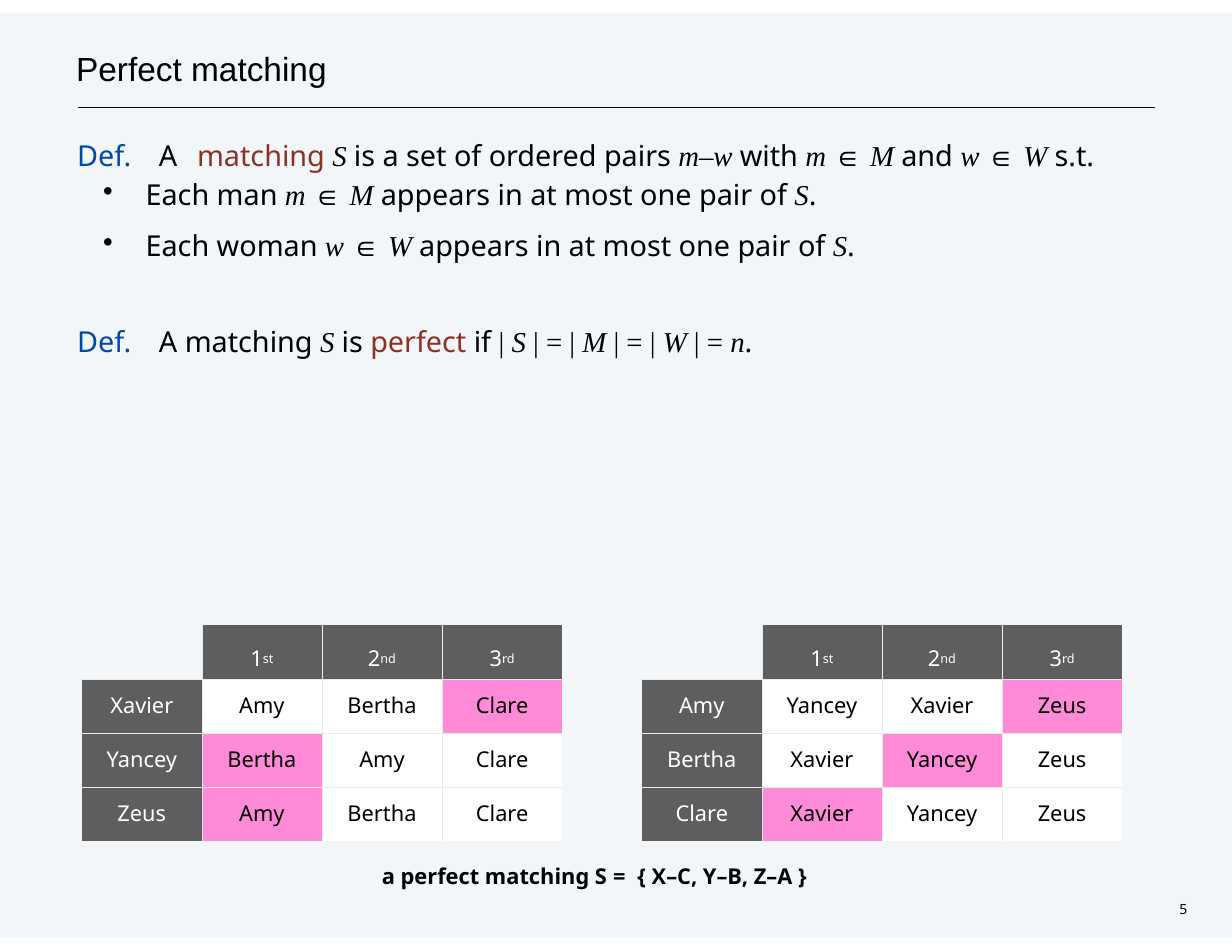
from dataclasses import dataclass

from lxml import etree
from pptx import Presentation
from pptx.dml.color import RGBColor
from pptx.enum.shapes import MSO_CONNECTOR, MSO_SHAPE
from pptx.enum.text import MSO_ANCHOR, PP_ALIGN
from pptx.oxml.ns import qn
from pptx.util import Inches, Pt

STRAIGHT = MSO_CONNECTOR.STRAIGHT
RECTANGLE = MSO_SHAPE.RECTANGLE
TOP = MSO_ANCHOR.TOP
LEFT, CENTER = PP_ALIGN.LEFT, PP_ALIGN.CENTER
NO_TABLE_STYLE = "{2D5ABB26-0587-4C30-8999-92F81FD0307C}"


@dataclass(frozen=True)
class Theme:
    black: str = "000000"
    white: str = "FFFFFF"
    band: str = "005493"
    label: str = "0048AA"
    term: str = "8D3124"
    header: str = "5E5E5E"
    match: str = "FF8AD8"
    grid: str = "E7EAEB"
    sans: str = "Noto Sans"
    serif: str = "Times New Roman"
    title_font: str = "Arial"
    title_size: float = 21.5
    body_size: float = 18.5
    table_size: float = 14
    number_size: float = 9


THEME = Theme()
RUN_STYLES = {
    "text": (THEME.sans, THEME.black, False),
    "label": (THEME.sans, THEME.label, False),
    "term": (THEME.sans, THEME.term, False),
    "variable": (THEME.serif, THEME.black, True),
    "math": (THEME.serif, THEME.black, False),
    "symbol": (THEME.title_font, THEME.black, False),
}


def member(name, group):
    return [("variable", f"{name} "), ("symbol", "∈ "), ("variable", f"{group} ")]


def at_most_one(person, name, group):
    return [("text", f"Each {person} "), *member(name, group),
            ("text", "appears in at most one pair of "),
            ("variable", "S"), ("text", ".")]


MATCHING = [
    ("label", "Def.\t"), ("text", "A\t"), ("term", "matching "), ("variable", "S "),
    ("text", "is a set of ordered pairs "), ("variable", "m"), ("math", "–"),
    ("variable", "w "), ("text", "with "), *member("m", "M"), ("text", "and "),
    *member("w", "W"), ("text", "s.t."),
]
PERFECT = [
    ("label", "Def.\t"), ("text", "A matching "), ("variable", "S "), ("text", "is "),
    ("term", "perfect "), ("text", "if "), ("math", "| "), ("variable", "S "),
    ("math", "| = | "), ("variable", "M "), ("math", "| = | "), ("variable", "W "),
    ("math", "| = "), ("variable", "n"), ("text", "."),
]
RANKS = [("1", "st"), ("2", "nd"), ("3", "rd")]
MEN = {
    "Xavier": ["Amy", "Bertha", "Clare"],
    "Yancey": ["Bertha", "Amy", "Clare"],
    "Zeus": ["Amy", "Bertha", "Clare"],
}
WOMEN = {
    "Amy": ["Yancey", "Xavier", "Zeus"],
    "Bertha": ["Xavier", "Yancey", "Zeus"],
    "Clare": ["Xavier", "Yancey", "Zeus"],
}
COUPLES = {"Xavier": "Clare", "Yancey": "Bertha", "Zeus": "Amy"}
PARTNERS = {woman: man for man, woman in COUPLES.items()}


def add_run(paragraph, text, size, font=THEME.sans, color=THEME.black,
            bold=False, italic=False):
    run = paragraph.add_run()
    run.text = text
    run.font.name = font
    run.font.size = Pt(size)
    run.font.bold = bold
    run.font.italic = italic
    run.font.color.rgb = RGBColor.from_string(color)
    return run


def set_frame(text_frame, top):
    text_frame.word_wrap = True
    text_frame.vertical_anchor = TOP
    text_frame.margin_left = text_frame.margin_right = text_frame.margin_bottom = 0
    text_frame.margin_top = Inches(top)


def add_text_box(slide, left, top, width, height):
    shape = slide.shapes.add_textbox(Inches(left), Inches(top),
                                     Inches(width), Inches(height))
    set_frame(shape.text_frame, 0.01)
    return shape.text_frame


def add_band(slide):
    shape = slide.shapes.add_shape(RECTANGLE, 0, Inches(0.12), Inches(11), Inches(8.25))
    shape.shadow.inherit = False
    shape.line.fill.background()
    shape.fill.solid()
    shape.fill.fore_color.rgb = RGBColor.from_string(THEME.band)
    color = shape._element.spPr.find(f"{qn('a:solidFill')}/{qn('a:srgbClr')}")
    etree.SubElement(color, qn("a:alpha"), val="5000")
    slide.shapes._spTree.insert(2, shape._element)


def add_rule(slide):
    rule = slide.shapes.add_connector(STRAIGHT, Inches(0.7), Inches(0.96),
                                      Inches(10.31), Inches(0.96))
    rule.line.width = Pt(0.77)
    rule.line.color.rgb = RGBColor.from_string(THEME.black)
    etree.SubElement(rule._element.spPr, qn("a:effectLst"))


def set_title(slide, text):
    title = slide.shapes.title
    title.left, title.top = Inches(0.67), Inches(0.41)
    title.width, title.height = Inches(6.18), Inches(0.39)
    set_frame(title.text_frame, 0.02)
    paragraph = title.text_frame.paragraphs[0]
    paragraph.alignment = LEFT
    paragraph.space_before = Pt(1.1)
    add_run(paragraph, text, THEME.title_size, THEME.title_font)
    paragraph._p.get_or_add_pPr().set("marL", str(Inches(0.01)))


def add_statement(paragraph, runs, space_before, bullet=False):
    paragraph.line_spacing = Pt(20.3)
    paragraph.space_before = Pt(space_before)
    properties = paragraph._p.get_or_add_pPr()
    properties.set("marL", str(Inches(0.67 if bullet else 0.06)))
    if bullet:
        properties.set("indent", str(Inches(-0.38)))
        etree.SubElement(properties, qn("a:buChar"), char="•")
    else:
        tabs = etree.SubElement(properties, qn("a:tabLst"))
        for position in (0.73, 1.07):
            etree.SubElement(tabs, qn("a:tab"), pos=str(Inches(position)), algn="l")
    for style, text in runs:
        font, color, italic = RUN_STYLES[style]
        add_run(paragraph, text, THEME.body_size, font, color, italic=italic)


def add_definitions(slide):
    text_frame = add_text_box(slide, 0.63, 1.25, 9.33, 1.97)
    add_statement(text_frame.paragraphs[0], MATCHING, 1.1)
    add_statement(text_frame.add_paragraph(), at_most_one("man", "m", "M"), 4.7, True)
    add_statement(text_frame.add_paragraph(), at_most_one("woman", "w", "W"), 12.5, True)
    add_statement(text_frame.add_paragraph(), PERFECT, 41.4)


def add_border(cell, side):
    properties = cell._tc.get_or_add_tcPr()
    line = etree.Element(qn(f"a:{side}"), w=str(Pt(0.25)))
    fill = etree.SubElement(line, qn("a:solidFill"))
    etree.SubElement(fill, qn("a:srgbClr"), val=THEME.grid)
    fills = properties.findall(qn("a:solidFill")) + properties.findall(qn("a:noFill"))
    fills[0].addprevious(line)


def fill_cell(cell, text, fill, color, top=0.1, suffix=""):
    set_frame(cell, top)
    cell.fill.solid()
    cell.fill.fore_color.rgb = RGBColor.from_string(fill)
    paragraph = cell.text_frame.paragraphs[0]
    paragraph.alignment = CENTER
    add_run(paragraph, text, THEME.table_size, color=color)
    if suffix:
        run = add_run(paragraph, suffix, THEME.table_size, color=color)
        run.font._element.set("baseline", "14000")


def add_preferences(slide, left, preferences, partners):
    frame = slide.shapes.add_table(4, 4, Inches(left), Inches(5.58),
                                   Inches(4.29), Inches(1.93))
    table = frame.table
    table.first_row = table.horz_banding = False
    table._tbl.tblPr.find(qn("a:tableStyleId")).text = NO_TABLE_STYLE
    table.cell(0, 0).fill.background()
    for column, (rank, suffix) in enumerate(RANKS, 1):
        fill_cell(table.cell(0, column), rank, THEME.header, THEME.white, 0.16, suffix)
    for row, (name, choices) in enumerate(preferences.items(), 1):
        fill_cell(table.cell(row, 0), name, THEME.header, THEME.white)
        for column, choice in enumerate(choices, 1):
            fill = THEME.match if partners[name] == choice else THEME.white
            fill_cell(table.cell(row, column), choice, fill, THEME.black)
    for row in range(4):
        for column in range(4):
            inner = {"lnL": column > 0, "lnR": column < 3, "lnT": row > 0, "lnB": row < 3}
            for side in (side for side, shown in inner.items() if shown):
                add_border(table.cell(row, column), side)


def add_caption(slide):
    paragraph = add_text_box(slide, 3.41, 7.69, 3.93, 0.26).paragraphs[0]
    paragraph.space_before = Pt(0.5)
    add_run(paragraph, "a perfect matching S ", THEME.table_size, bold=True)
    equals = add_run(paragraph, "= ", THEME.table_size, bold=True)
    equals.font._element.set("spc", "200")
    add_run(paragraph, "{ X–C, Y–B, Z–A }", THEME.table_size, bold=True)


def add_slide_number(slide):
    paragraph = add_text_box(slide, 10.53, 8.03, 0.18, 0.18).paragraphs[0]
    paragraph.space_before = Pt(0.7)
    add_run(paragraph, "5", THEME.number_size)


def main():
    presentation = Presentation()
    presentation.slide_width, presentation.slide_height = Inches(11), Inches(8.5)
    slide = presentation.slides.add_slide(presentation.slide_layouts[5])
    add_band(slide)
    add_rule(slide)
    set_title(slide, "Perfect matching")
    add_caption(slide)
    add_slide_number(slide)
    add_definitions(slide)
    add_preferences(slide, 0.73, MEN, COUPLES)
    add_preferences(slide, 5.73, WOMEN, PARTNERS)
    presentation.save("out.pptx")


if __name__ == "__main__":
    main()
